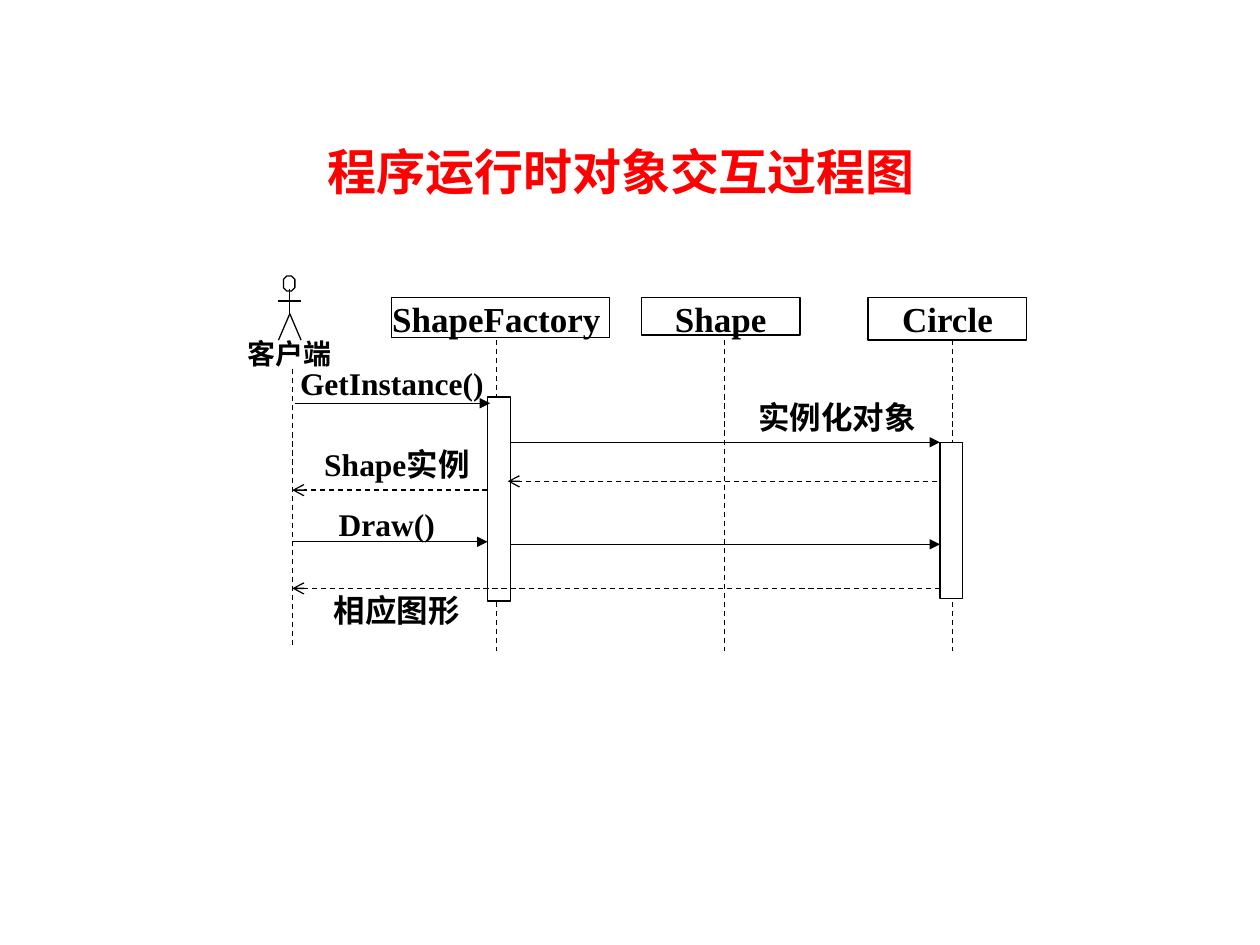
from lxml import etree
from pptx import Presentation
from pptx.dml.color import RGBColor
from pptx.enum import dml, shapes, text
from pptx.oxml.ns import qn
from pptx.util import Inches, Pt

COLORS = {"title": "FF0000", "ink": "000000", "paper": "FFFFFF"}
FONT = "Times New Roman"
LINE_WIDTH = Pt(0.75)
BAR_WIDTH = 0.18
CLIENT_X, FACTORY_X, SHAPE_X, CIRCLE_X = 2.32, 3.94, 5.75, 7.56


def rgb(name):
    return RGBColor.from_string(COLORS[name])


def write(tf, content, size, color="ink"):
    """Put one centred bold paragraph in a text frame."""
    tf.word_wrap = True
    p = tf.paragraphs[0]
    p.text = content
    p.alignment = text.PP_ALIGN.CENTER
    p.font.name = FONT
    p.font.size = Pt(size)
    p.font.bold = True
    p.font.color.rgb = rgb(color)


def write_tight(tf, content, size):
    """Write from the top of a frame that has no margins."""
    tf.margin_left = tf.margin_right = tf.margin_top = tf.margin_bottom = 0
    tf.vertical_anchor = text.MSO_ANCHOR.TOP
    write(tf, content, size)


def add_outline(s, x, y, w, h, kind=shapes.MSO_SHAPE.RECTANGLE):
    sp = s.shapes.add_shape(kind, Inches(x), Inches(y), Inches(w), Inches(h))
    sp.shadow.inherit = False
    sp.fill.solid()
    sp.fill.fore_color.rgb = rgb("paper")
    sp.line.color.rgb = rgb("ink")
    sp.line.width = LINE_WIDTH
    return sp


def add_label(s, content, x, y, w, h, size=18):
    box = s.shapes.add_textbox(Inches(x), Inches(y), Inches(w), Inches(h))
    write_tight(box.text_frame, content, size)


def add_line(s, x1, y1, x2, y2, dashed=False, head=None):
    line = s.shapes.add_connector(shapes.MSO_CONNECTOR.STRAIGHT,
                                  Inches(x1), Inches(y1), Inches(x2), Inches(y2))
    line.line.color.rgb = rgb("ink")
    line.line.width = LINE_WIDTH
    if dashed:
        line.line.dash_style = dml.MSO_LINE.DASH
    if head:
        etree.SubElement(line.line._get_or_add_ln(), qn("a:tailEnd"), type=head)
    etree.SubElement(line._element.spPr, qn("a:effectLst"))


def add_actor(s, x, y):
    """Draw a stick figure centred on x with its head at y."""
    arm, hip, foot = 0.09, y + 0.3, y + 0.51
    add_outline(s, x - 0.05, y, 0.09, 0.12, shapes.MSO_SHAPE.OCTAGON)
    add_line(s, x, y + 0.1, x, hip)
    add_line(s, x - arm, y + 0.2, x + arm, y + 0.2)
    for side in (-arm, arm):
        add_line(s, x, hip, x + side, foot)


def add_call(s, x1, x2, y):
    add_line(s, x1, y, x2, y, head="triangle")


def add_return(s, x1, x2, y):
    add_line(s, x1, y, x2, y, dashed=True, head="arrow")


def main():
    prs = Presentation()
    prs.slide_width, prs.slide_height = Inches(10), Inches(7.5)
    s = prs.slides.add_slide(prs.slide_layouts[5])

    title = s.shapes.title
    title.left, title.top = Inches(0.43), Inches(0.85)
    title.width, title.height = Inches(9), Inches(1.01)
    title.text_frame.vertical_anchor = text.MSO_ANCHOR.MIDDLE
    write(title.text_frame, "程序运行时对象交互过程图", 28, "title")

    add_label(s, "客户端", 1.67, 2.67, 1.26, 0.32, 16)
    add_actor(s, 2.3, 2.19)

    for name, x, w, h in (("ShapeFactory ", 3.11, 1.73, 0.32),
                          ("Shape", 5.09, 1.26, 0.3),
                          ("Circle", 6.89, 1.26, 0.34)):
        write_tight(add_outline(s, x, 2.36, w, h).text_frame, name, 20)

    add_line(s, CLIENT_X, 2.93, CLIENT_X, 5.13, dashed=True)
    for x in (FACTORY_X, SHAPE_X, CIRCLE_X):
        add_line(s, x, 2.7, x, 5.17, dashed=True)

    factory_left, circle_left = 3.87, 7.46
    factory_right = factory_left + BAR_WIDTH
    add_outline(s, factory_left, 3.15, BAR_WIDTH, 1.62)
    add_outline(s, circle_left, 3.51, BAR_WIDTH, 1.24)

    add_call(s, 2.34, 3.89, 3.2)
    add_call(s, factory_right, circle_left, 3.51)
    add_return(s, 7.44, 4.03, 3.82)
    add_return(s, factory_left, CLIENT_X, 3.89)
    add_call(s, CLIENT_X, factory_left, 4.3)
    add_call(s, factory_right, circle_left, 4.32)
    add_return(s, circle_left, CLIENT_X, 4.67)

    for content, x, y, w, h in (("GetInstance()", 2.17, 2.89, 1.88, 0.26),
                                (" 实例化对象", 5.55, 3.16, 2.13, 0.37),
                                ("Shape实例", 2.21, 3.53, 1.88, 0.26),
                                ("Draw()", 2.13, 4.01, 1.88, 0.3),
                                ("相应图形", 2.21, 4.69, 1.88, 0.26)):
        add_label(s, content, x, y, w, h)

    prs.save("out.pptx")


if __name__ == "__main__":
    main()
